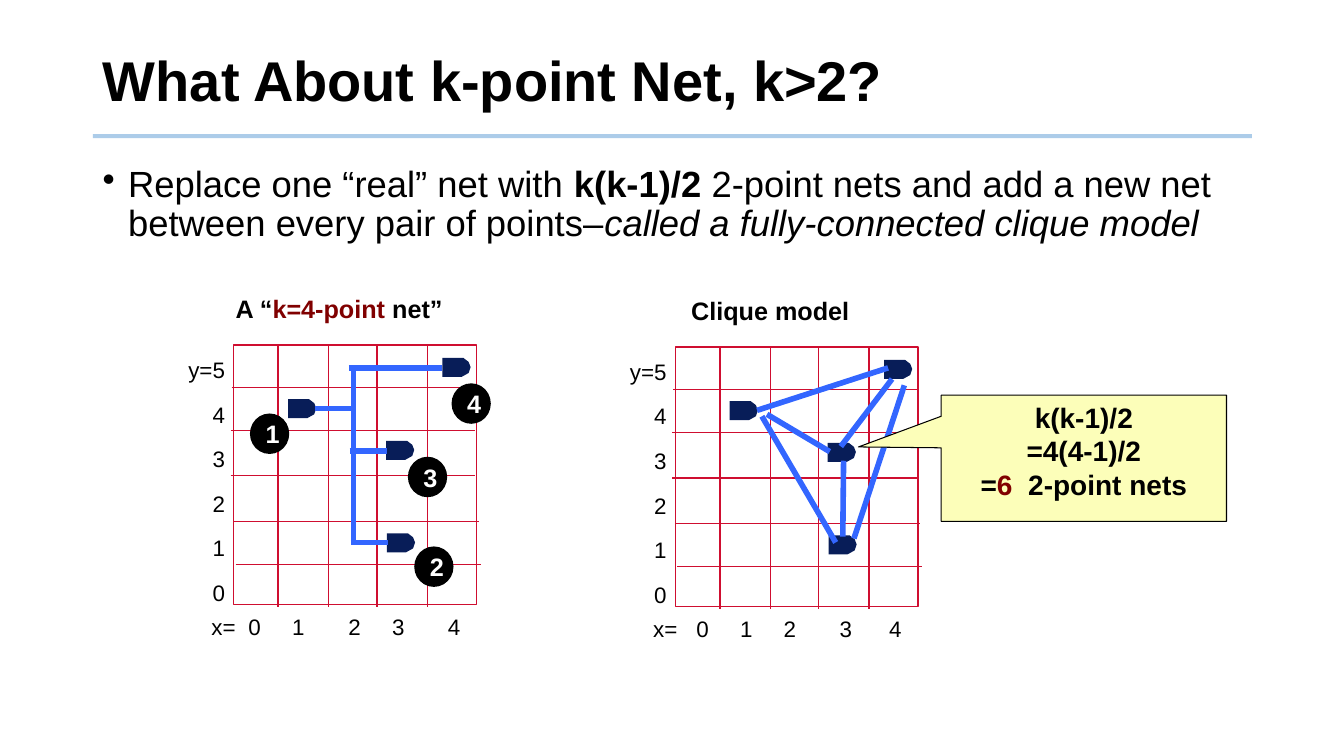
from lxml import etree
from pptx import Presentation
from pptx.dml.color import RGBColor
from pptx.enum.shapes import MSO_CONNECTOR, MSO_SHAPE
from pptx.enum.text import MSO_ANCHOR, PP_ALIGN
from pptx.oxml.ns import qn
from pptx.util import Cm, Pt

STRAIGHT = MSO_CONNECTOR.STRAIGHT
RECTANGLE, OVAL = MSO_SHAPE.RECTANGLE, MSO_SHAPE.OVAL
CALLOUT = MSO_SHAPE.RECTANGULAR_CALLOUT
LEFT, CENTER, RIGHT = PP_ALIGN.LEFT, PP_ALIGN.CENTER, PP_ALIGN.RIGHT
TOP, MIDDLE = MSO_ANCHOR.TOP, MSO_ANCHOR.MIDDLE

BLACK = RGBColor(0x00, 0x00, 0x00)
WHITE = RGBColor(0xFF, 0xFF, 0xFF)
MAROON = RGBColor(0x80, 0x00, 0x00)
GRID_RED = RGBColor(0xCF, 0x0E, 0x30)
PIN_NAVY = RGBColor(0x08, 0x1D, 0x58)
WIRE_BLUE = RGBColor(0x33, 0x66, 0xFF)
RULE_BLUE = RGBColor(0x5B, 0x9B, 0xD5)
NOTE_YELLOW = RGBColor(0xFC, 0xFE, 0xB9)

# Content. A run is plain text, or (text, style); lengths are in cm.
TITLE = "What About k-point Net, k>2?"
BULLET = [
    "Replace one “real” net with ", ("k(k-1)/2", "bold"),
    " 2-point nets and add a new net between every pair of points–",
    ("called a fully-connected clique model", "italic"),
]
NET_COUNT = [["k(k-1)/2"], ["=4(4-1)/2"], ["=", ("6  ", "accent"), "2-point nets"]]
Y_LABELS = [["y=5"], ["4"], ["3"], ["2"], ["1"], ["0"]]
X_LABELS = [["x=\t0\t1\t2\t3\t4"]]

# Positions inside a panel are measured from the top left of its grid.
GRID_SIZE = (6.12, 6.55)
COLUMN_LINES = [1.12, 2.39, 3.61, 4.88]
COLUMN_LINE_LENGTH = 6.6
ROW_LINES = [(-0.05, 1.07), (-0.08, 2.16), (-0.08, 3.3), (0, 4.45), (0.05, 5.54)]
ROW_LINE_LENGTH = 6.17
PINS = [(1.37, 1.37), (3.86, 4.75), (3.84, 2.42), (5.26, 0.33)]
PIN_OUTLINE = [(0, 0), (0, 0.48), (0.48, 0.48), (0.66, 0.38),
               (0.71, 0.23), (0.66, 0.1), (0.53, 0)]
PIN_NUMBERS = {"1": (0.41, 1.73), "2": (4.55, 5.08), "3": (4.39, 2.82), "4": (5.49, 0.97)}

PANELS = [
    {
        "origin": (17.02, 8.74),
        "heading": ["Clique model"],
        "heading_box": (0.15, 4.55),
        "x_tabs": [1.09, 2.19, 3.29, 4.7, 5.95],
        "wires": [(2.06, 1.6, 5.36, 0.53), (4.24, 2.87, 4.22, 4.78),
                  (2.18, 1.75, 4.04, 4.93), (5.77, 0.97, 4.5, 4.83),
                  (5.46, 0.81, 4.17, 2.51), (3.89, 2.64, 2.31, 1.7)],
        "numbers": {},
    },
    {
        "origin": (5.89, 8.69),
        "heading": ["A “", ("k=4-point", "accent"), " net”"],
        "heading_box": (-0.2, 5.79),
        "x_tabs": [0.93, 2.03, 3.45, 4.55, 5.96],
        "wires": [(2.06, 1.6, 3, 1.6), (2.9, 0.58, 5.26, 0.58),
                  (3.02, 0.53, 3.02, 5.03), (2.92, 2.67, 3.86, 2.67),
                  (2.95, 4.98, 3.89, 4.98)],
        "numbers": PIN_NUMBERS,
    },
]

deck = Presentation()
deck.slide_width, deck.slide_height = Cm(33.87), Cm(19.05)
slide = deck.slides.add_slide(deck.slide_layouts[5])
shapes = slide.shapes


def write(shape, lines, size, align=LEFT, anchor=TOP, color=BLACK, bold=False, wrap=True):
    """Fill a shape with paragraphs, each a list of runs; return the paragraphs."""
    frame = shape.text_frame
    frame.word_wrap = wrap
    frame.vertical_anchor = anchor
    for index, line in enumerate(lines):
        paragraph = frame.add_paragraph() if index else frame.paragraphs[0]
        paragraph.alignment = align
        font = paragraph.font
        font.name, font.size, font.bold = "Arial", Pt(size), bold
        font.color.rgb = color
        for piece in line:
            text, style = (piece, None) if isinstance(piece, str) else piece
            run = paragraph.add_run()
            run.text = text
            if style == "bold":
                run.font.bold = True
            elif style == "italic":
                run.font.italic = True
            elif style == "accent":
                run.font.color.rgb = MAROON
    return frame.paragraphs


def text_box(left, top, width, height):
    return shapes.add_textbox(Cm(left), Cm(top), Cm(width), Cm(height))


def draw_line(x1, y1, x2, y2, color, width):
    line = shapes.add_connector(STRAIGHT, Cm(x1), Cm(y1), Cm(x2), Cm(y2))
    line.line.color.rgb = color
    line.line.width = Pt(width)
    etree.SubElement(line._element.spPr, qn("a:effectLst"))
    return line


def paint(shape, fill=None, outline=None, width=1):
    shape.shadow.inherit = False
    if fill is None:
        shape.fill.background()
    else:
        shape.fill.solid()
        shape.fill.fore_color.rgb = fill
    if outline is None:
        shape.line.fill.background()
    else:
        shape.line.color.rgb = outline
        shape.line.width = Pt(width)


def add_preset(kind, left, top, width, height):
    return shapes.add_shape(kind, Cm(left), Cm(top), Cm(width), Cm(height))


def add_tabs(paragraph, stops):
    tab_list = etree.Element(qn("a:tabLst"))
    for stop in stops:
        etree.SubElement(tab_list, qn("a:tab"), pos=str(Cm(stop)), algn="l")
    paragraph._p.get_or_add_pPr().insert_element_before(tab_list, "a:defRPr", "a:extLst")


def draw_panel(panel):
    x0, y0 = panel["origin"]
    paint(add_preset(RECTANGLE, x0, y0, *GRID_SIZE), outline=GRID_RED)
    for x in COLUMN_LINES:
        draw_line(x0 + x, y0, x0 + x, y0 + COLUMN_LINE_LENGTH, GRID_RED, 1)
    for x, y in ROW_LINES:
        draw_line(x0 + x, y0 + y, x0 + x + ROW_LINE_LENGTH, y0 + y, GRID_RED, 1)

    for x, y in PINS:
        corners = [(Cm(x0 + x + dx), Cm(y0 + y + dy)) for dx, dy in PIN_OUTLINE]
        outline = shapes.build_freeform(*corners[0])
        outline.add_line_segments(corners[1:], close=True)
        paint(outline.convert_to_shape(), fill=PIN_NAVY)

    x_axis = write(text_box(x0 - 0.81, y0 + 6.63, 6.88, 0.94), X_LABELS, 16)
    add_tabs(x_axis[0], panel["x_tabs"])
    y_axis = text_box(x0 - 1.42, y0 - 0.08, 1.45, 6.76)
    for label in write(y_axis, Y_LABELS, 16, RIGHT, wrap=False):
        label.line_spacing = 1.35
        label.space_before = Pt(6)
    shift, width = panel["heading_box"]
    write(text_box(x0 + shift, y0 - 1.42, width, 1.02), [panel["heading"]], 18,
          bold=True, wrap=False)

    for x1, y1, x2, y2 in panel["wires"]:
        draw_line(x0 + x1, y0 + y1, x0 + x2, y0 + y2, WIRE_BLUE, 4)
    for number, (x, y) in panel["numbers"].items():
        disc = add_preset(OVAL, x0 + x, y0 + y, 0.99, 1.02)
        paint(disc, fill=BLACK)
        write(disc, [[number]], 18, CENTER, MIDDLE, WHITE, bold=True, wrap=False)
        frame = disc.text_frame
        frame.margin_left = Cm(0.15)
        frame.margin_right = frame.margin_top = frame.margin_bottom = 0


rule = draw_line(2.34, 3.43, 31.55, 3.43, RULE_BLUE, 3)
rule_color = rule._element.spPr.find(".//" + qn("a:srgbClr"))
etree.SubElement(rule_color, qn("a:alpha"), val="50000")

title = shapes.title
title.left, title.top, title.width, title.height = Cm(2.34), Cm(0.71), Cm(29.21), Cm(2.79)
write(title, [[TITLE]], 40, anchor=MIDDLE, bold=True)[0].line_spacing = 0.9

bullet = write(text_box(2.34, 4.06, 29.21, 13.08), [BULLET], 26)[0]
bullet.line_spacing = 0.9
bullet.space_before = Pt(10)
bullet_format = bullet._p.get_or_add_pPr()
bullet_format.set("marL", str(Cm(0.64)))
bullet_format.set("indent", str(Cm(-0.64)))
bullet_mark = etree.Element(qn("a:buChar"), char="•")
bullet_format.insert_element_before(bullet_mark, "a:tabLst", "a:defRPr", "a:extLst")

for panel in PANELS:
    draw_panel(panel)

note = add_preset(CALLOUT, 23.72, 9.96, 7.19, 3.18)
note.adjustments[0], note.adjustments[1] = -0.79, -0.09
paint(note, NOTE_YELLOW, BLACK, 0.75)
write(note, NET_COUNT, 20, CENTER, bold=True)

deck.save("out.pptx")
